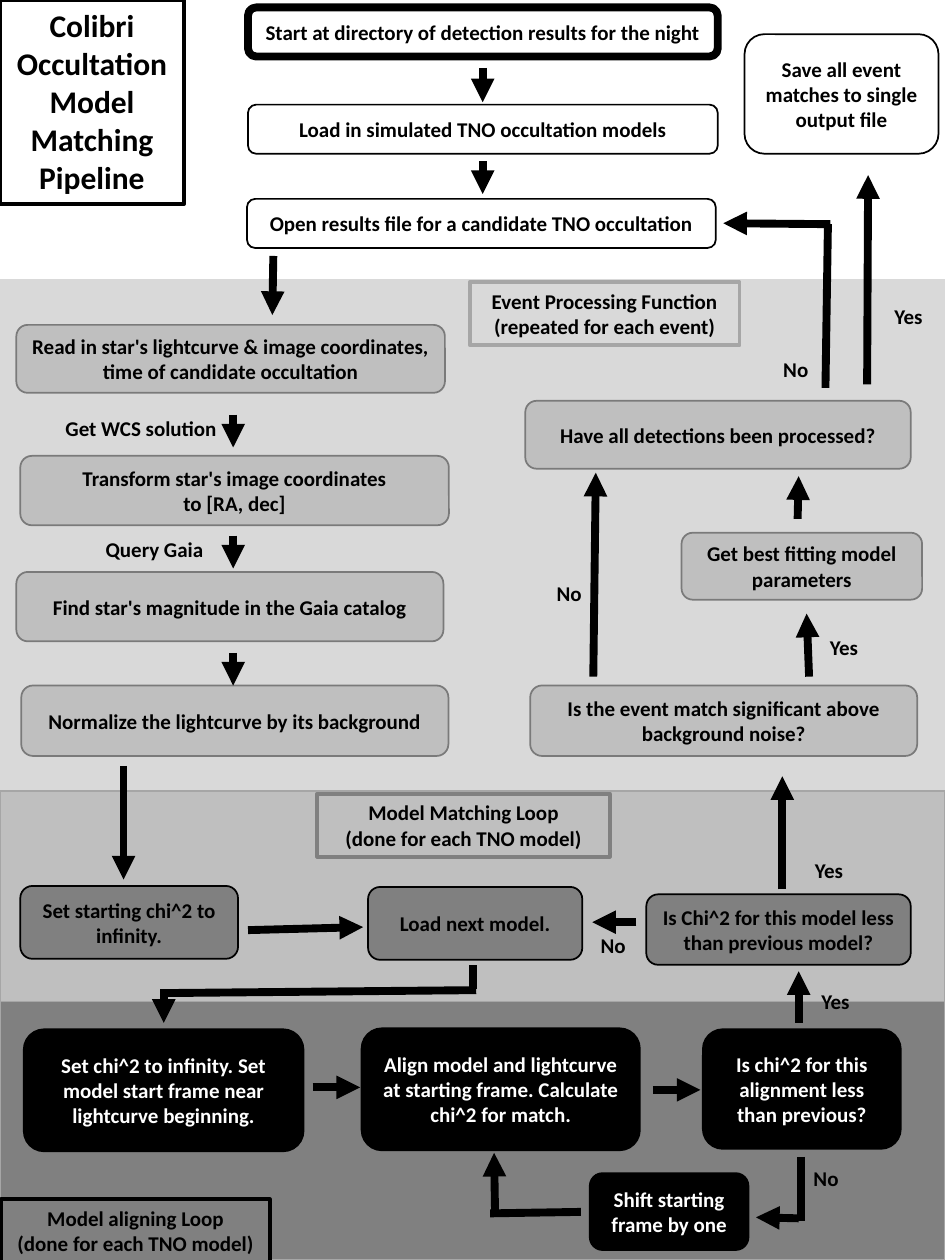
from lxml.etree import SubElement
from pptx import Presentation
from pptx.dml.color import RGBColor
from pptx.enum.shapes import MSO_CONNECTOR, MSO_SHAPE
from pptx.enum.text import MSO_ANCHOR, MSO_AUTO_SIZE, PP_ALIGN
from pptx.oxml.ns import qn
from pptx.util import Cm, Pt

COLORS = {
    "white": "FFFFFF", "pale": "D9D9D9", "light": "BFBFBF", "silver": "A6A6A6",
    "gray": "808080", "edge": "7A7A7A", "black": "000000",
}
FONT = {"name": "Calibri", "size": Pt(12), "bold": True}
TITLE_FONT = {**FONT, "size": Pt(18)}
PARAGRAPH = {"space_before": Pt(0), "line_spacing": 1.0}


def color(name):
    return RGBColor.from_string(COLORS[name])


def set_all(target, values):
    for name, value in values.items():
        setattr(target, name, value)


def write(shape, text, ink="black", font=FONT, align=PP_ALIGN.CENTER, anchor=MSO_ANCHOR.MIDDLE):
    frame = shape.text_frame
    frame.text = text
    set_all(frame, {"word_wrap": True, "auto_size": MSO_AUTO_SIZE.NONE, "vertical_anchor": anchor})
    for paragraph in frame.paragraphs:
        set_all(paragraph, {**PARAGRAPH, "alignment": align})
        for run in paragraph.runs:
            set_all(run.font, font)
            run.font.color.rgb = color(ink)


def paint(shape, fill, line, weight):
    shape.fill.solid()
    shape.fill.fore_color.rgb = color(fill)
    shape.line.color.rgb = color(line)
    shape.line.width = Pt(weight)


class Region:
    def __init__(self, slide, box):
        self.shapes = slide.shapes
        self.left, self.top, self.width, self.height = box

    def place(self, left, top, width, height):
        return Cm(self.left + left), Cm(self.top + top), Cm(width), Cm(height)

    def add_shape(self, kind, place, fill, line, weight):
        shape = self.shapes.add_shape(kind, *self.place(*place))
        shape.shadow.inherit = False
        paint(shape, fill, line, weight)
        return shape

    def add_band(self, fill, line):
        self.add_shape(MSO_SHAPE.RECTANGLE, (0, 0, self.width, self.height), fill, line, 1)

    def add_caption(self, text, place, fill, line):
        shape = self.add_shape(MSO_SHAPE.RECTANGLE, place, fill, line, 2.25)
        write(shape, text, anchor=MSO_ANCHOR.TOP)

    def add_steps(self, steps, fill, line, ink="black", weight=1):
        for text, *place in steps:
            shape = self.add_shape(MSO_SHAPE.ROUNDED_RECTANGLE, place, fill, line, weight)
            write(shape, text, ink)

    def add_labels(self, labels):
        for text, left, top, width in labels:
            shape = self.shapes.add_textbox(*self.place(left, top, width, 0.76))
            write(shape, text, align=PP_ALIGN.LEFT, anchor=MSO_ANCHOR.TOP)

    def add_lines(self, lines, arrow=True):
        for x1, y1, x2, y2 in lines:
            connector = self.shapes.add_connector(
                MSO_CONNECTOR.STRAIGHT, Cm(self.left + x1), Cm(self.top + y1),
                Cm(self.left + x2), Cm(self.top + y2))
            connector.line.color.rgb = color("black")
            connector.line.width = Pt(4.5)
            if arrow:
                SubElement(connector.line._get_or_add_ln(), qn("a:tailEnd"), type="triangle")
            SubElement(connector._element.spPr, qn("a:effectLst"))


def build_header(slide, box):
    region = Region(slide, box)
    title = slide.shapes.title
    places = region.place(0, 0, 3.71, 4.11)
    set_all(title, dict(zip(("left", "top", "width", "height"), places)))
    paint(title, "white", "black", 2.25)
    write(title, "Colibri Occultation Model Matching Pipeline", font=TITLE_FONT, anchor=MSO_ANCHOR.TOP)
    region.add_steps([("Start at directory of detection results for the night", 5, 0.15, 9.47, 0.99)],
                     "white", "black", weight=4.5)
    region.add_steps([
        ("Load in simulated TNO occultation models", 5, 2.11, 9.47, 0.99),
        ("Open results file for a candidate TNO occultation", 4.98, 4.01, 9.45, 0.99),
        ("Save all event matches to single output file", 15.01, 0.69, 3.91, 2.41),
    ], "white", "black")
    region.add_lines([(9.73, 1.37, 9.73, 2.06), (9.73, 3.25, 9.73, 3.91)])


def build_event_processing(slide, box):
    region = Region(slide, box)
    region.add_band("pale", "pale")
    region.add_caption("Event Processing Function (repeated for each event)",
                       (9.47, 0.05, 5.44, 1.27), "pale", "silver")
    region.add_steps([
        ("Read in star's lightcurve & image coordinates, time of candidate occultation",
         0.33, 0.91, 8.64, 1.37),
        ("Transform star's image coordinates\nto [RA, dec]", 0.41, 3.55, 8.64, 1.4),
        ("Find star's magnitude in the Gaia catalog", 0.33, 5.89, 8.61, 1.4),
        ("Normalize the lightcurve by its background", 0.43, 8.18, 8.61, 1.42),
        ("Have all detections been processed?", 10.59, 2.44, 7.77, 1.37),
        ("Get best fitting model parameters", 13.74, 5.1, 4.85, 1.35),
        ("Is the event match significant above background noise?", 10.69, 8.18, 7.8, 1.42),
    ], "light", "edge")
    region.add_lines([(4.7, top, 4.7, top + 0.66) for top in (2.72, 5.16, 7.52)])
    region.add_lines([
        (5.51, -0.48, 5.49, 0.71),
        (11.96, 8, 12.01, 3.89),
        (16.31, 8, 16.26, 6.73),
        (16.08, 4.82, 16.1, 3.96),
        (17.48, 2.11, 17.5, -2.11),
        (16.74, -1.12, 14.58, -1.14),
    ])
    region.add_lines([(16.64, 2.18, 16.69, -1.12)], arrow=False)
    region.add_labels([
        ("Get WCS solution", 1.07, 2.62, 3.76),
        ("Query Gaia", 1.88, 5.05, 2.72),
        ("Yes", 16.48, 7.03, 1.16),
        ("No", 10.97, 5.94, 1.16),
        ("No", 15.54, 1.42, 1.16),
        ("Yes", 17.78, 0.35, 1.16),
    ])


def build_model_matching(slide, box):
    region = Region(slide, box)
    region.add_band("light", "silver")
    region.add_caption("Model Matching Loop\n(done for each TNO model)",
                       (6.4, 0.05, 5.89, 1.27), "light", "gray")
    region.add_steps([
        ("Set starting chi^2 to infinity.", 0.41, 1.91, 4.39, 1.47),
        ("Load next model.", 7.42, 1.93, 4.32, 1.47),
        ("Is Chi^2 for this model less than previous model?", 13.03, 2.08, 5.33, 1.42),
    ], "gray", "black")
    region.add_lines([
        (2.49, -0.51, 2.49, 1.78),
        (5, 2.8, 7.32, 2.74),
        (12.83, 2.64, 11.94, 2.64),
        (15.77, 1.98, 15.77, -0.3),
    ])
    region.add_labels([("No", 11.86, 2.72, 1.16), ("Yes", 16.18, 1.22, 1.16)])


def build_model_aligning(slide, box):
    region = Region(slide, box)
    region.add_band("gray", "silver")
    region.add_caption("Model aligning Loop\n(done for each TNO model)",
                       (0.03, 3.99, 5.41, 1.27), "gray", "black")
    region.add_steps([
        ("Set chi^2 to infinity. Set model start frame near lightcurve beginning.",
         0.48, 0.56, 5.64, 2.46),
        ("Align model and lightcurve at starting frame. Calculate chi^2 for match.",
         7.29, 0.54, 5.61, 2.46),
        ("Is chi^2 for this alignment less than previous?", 14.17, 0.56, 3.99, 2.41),
        ("Shift starting frame by one", 11.89, 3.46, 3.2, 1.55),
    ], "black", "black", ink="white")
    region.add_lines([
        (6.3, 1.73, 7.26, 1.73),
        (13.16, 1.78, 14.12, 1.78),
        (16.1, 0.43, 16.1, -0.61),
        (3.3, -0.23, 3.3, 0.43),
        (16.1, 4.37, 15.24, 4.35),
        (9.98, 4.29, 9.96, 3.05),
    ])
    region.add_lines([
        (9.53, -0.73, 9.53, -0.25),
        (9.6, -0.23, 3.23, -0.17),
        (16.15, 3.13, 16.15, 4.42),
        (11.71, 4.24, 9.88, 4.27),
    ], arrow=False)
    region.add_labels([("Yes", 16.31, -0.38, 1.16), ("No", 16.15, 3.18, 1.16)])


def main():
    presentation = Presentation()
    presentation.slide_width = Cm(19.05)
    presentation.slide_height = Cm(25.4)
    slide = presentation.slides.add_slide(presentation.slide_layouts.get_by_name("Title Only"))
    build_header(slide, (0, 0, 19.05, 5.64))
    build_event_processing(slide, (0, 5.64, 19.05, 10.59))
    build_model_matching(slide, (0, 15.95, 19.05, 9.45))
    build_model_aligning(slide, (0, 20.19, 19.05, 5.21))
    presentation.save("out.pptx")


if __name__ == "__main__":
    main()
